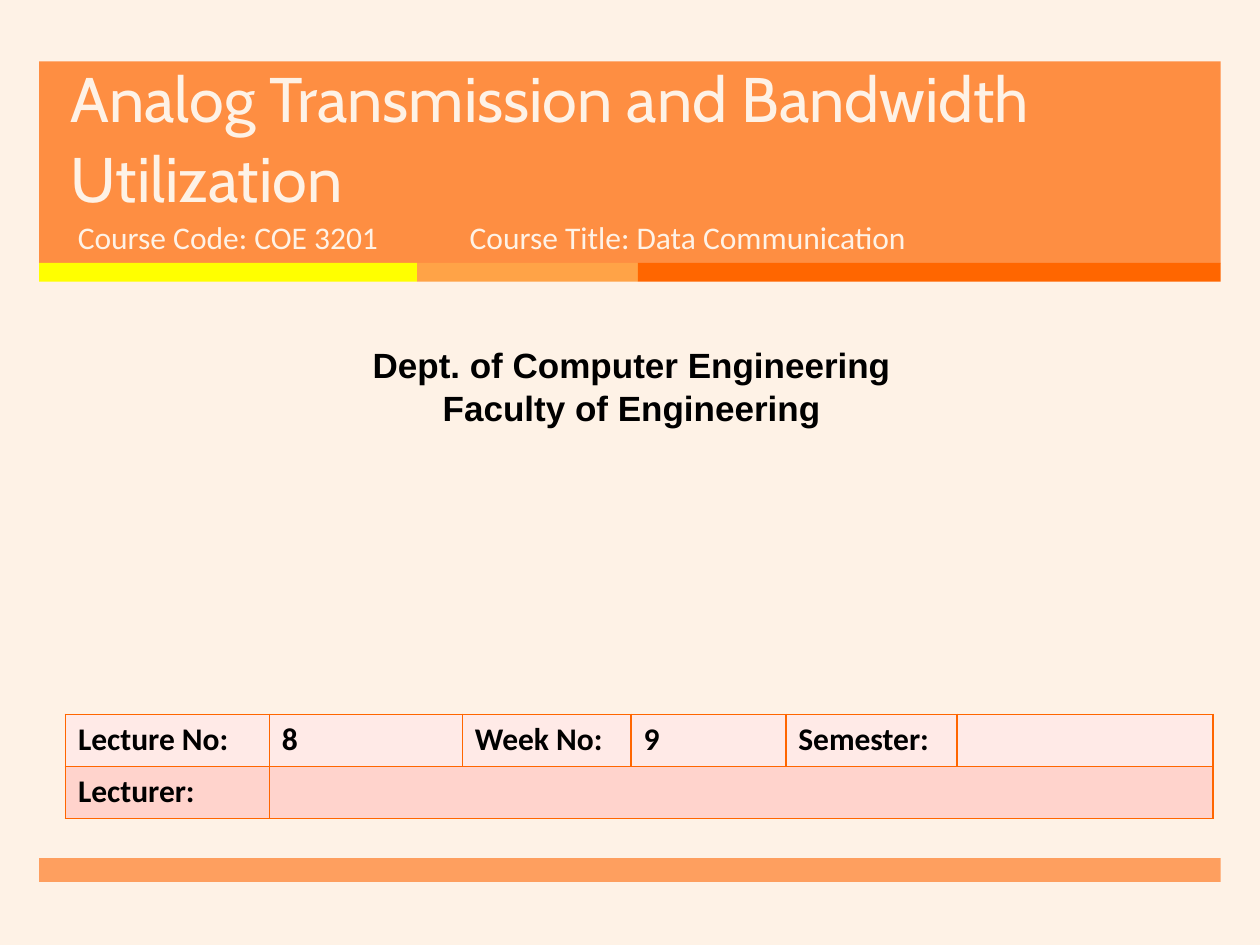
"""Build the cover slide of a data communication lecture."""
from lxml.etree import SubElement as Sub
from pptx import Presentation
from pptx.dml.color import RGBColor
from pptx.enum.shapes import MSO_SHAPE as Form
from pptx.enum.text import MSO_ANCHOR as Anchor, MSO_AUTO_SIZE as Fit, PP_ALIGN as Align
from pptx.oxml.ns import qn
from pptx.util import Cm, Pt

hue = RGBColor.from_string
CREAM, BLACK, ORANGE = "FEF2E6", "000000", "FF6600"


def style(frame, face, size, color, bold=False, align=Align.LEFT):
    frame.word_wrap = True
    for para in frame.paragraphs:
        para.alignment = align
        font = para.font
        font.name, font.size, font.bold = face, Pt(size), bold
        font.color.rgb = hue(color)


deck = Presentation()
deck.slide_width, deck.slide_height = Cm(25.4), Cm(19.05)
slide = deck.slides.add_slide(deck.slide_layouts[5])
slide.background.fill.solid()
slide.background.fill.fore_color.rgb = hue(CREAM)
shapes = slide.shapes

bars = [
    (0.79, 1.24, 23.82, 4.07, "FF7D26", 85),
    (0.79, 5.3, 7.62, 0.38, "FFFF00", 100),
    (8.41, 5.3, 4.45, 0.38, "FFA347", 100),
    (12.86, 5.3, 11.75, 0.38, ORANGE, 100),
    (0.79, 17.3, 23.82, 0.48, "FF7D26", 70),
]
for left, top, width, height, color, alpha in bars:
    bar = shapes.add_shape(Form.RECTANGLE, Cm(left), Cm(top), Cm(width), Cm(height))
    bar.shadow.inherit = False
    bar.fill.solid()
    bar.fill.fore_color.rgb = hue(color)
    bar.line.fill.background()
    if alpha < 100:
        tint = bar.element.find(".//" + qn("a:srgbClr"))
        Sub(tint, qn("a:alpha"), val=str(alpha * 1000))

title = shapes.title
title.element.getparent().append(title.element)
title.left, title.top, title.width, title.height = Cm(1.17), Cm(1.45), Cm(21.69), Cm(3.02)
frame = title.text_frame
frame.text = "Analog Transmission and Bandwidth Utilization"
frame.auto_size = Fit.NONE
frame.vertical_anchor = Anchor.BOTTOM
frame.paragraphs[0].line_spacing = Pt(46)
style(frame, "Cabin", 36, CREAM)

dept = "Dept. of Computer Engineering\nFaculty of Engineering"
notes = [
    (1.32, 4.27, 7.75, 1.35, "Course Code: COE 3201", "Calibri", 18, CREAM, False, Align.LEFT),
    (0.2, 6.81, 25.07, 1.96, dept, "Arial", 20, BLACK, True, Align.CENTER),
    (9.22, 4.27, 11.56, 1.35, "Course Title: Data Communication", "Calibri", 18, CREAM, False, Align.LEFT),
]
for left, top, width, height, text, *look in notes:
    box = shapes.add_textbox(Cm(left), Cm(top), Cm(width), Cm(height))
    box.text_frame.text = text
    style(box.text_frame, *look)

widths = [4.11, 3.89, 3.4, 3.12, 3.45, 5.16]
rows = [
    ("FFEAE7", ["Lecture No:", "8", "Week No:", "9", "Semester:", ""]),
    ("FFD3CC", ["Lecturer:", "", "", "", "", ""]),
]
table = shapes.add_table(2, 6, Cm(1.32), Cm(14.4), Cm(sum(widths)), Cm(2.1)).table
for col, width in zip(table.columns, widths):
    col.width = Cm(width)
for r, (color, words) in enumerate(rows):
    table.rows[r].height = Cm(1.05)
    for c, word in enumerate(words):
        cell = table.cell(r, c)
        cell.text = word
        style(cell.text_frame, "Calibri", 18, BLACK, True)
        props = cell._tc.get_or_add_tcPr()
        for side in ("lnL", "lnR", "lnT", "lnB"):
            edge = Sub(props, qn("a:" + side), w=str(Pt(1)))
            Sub(Sub(edge, qn("a:solidFill")), qn("a:srgbClr"), val=ORANGE)
        cell.fill.solid()
        cell.fill.fore_color.rgb = hue(color)
table.cell(1, 1).merge(table.cell(1, 5))

deck.save("out.pptx")
